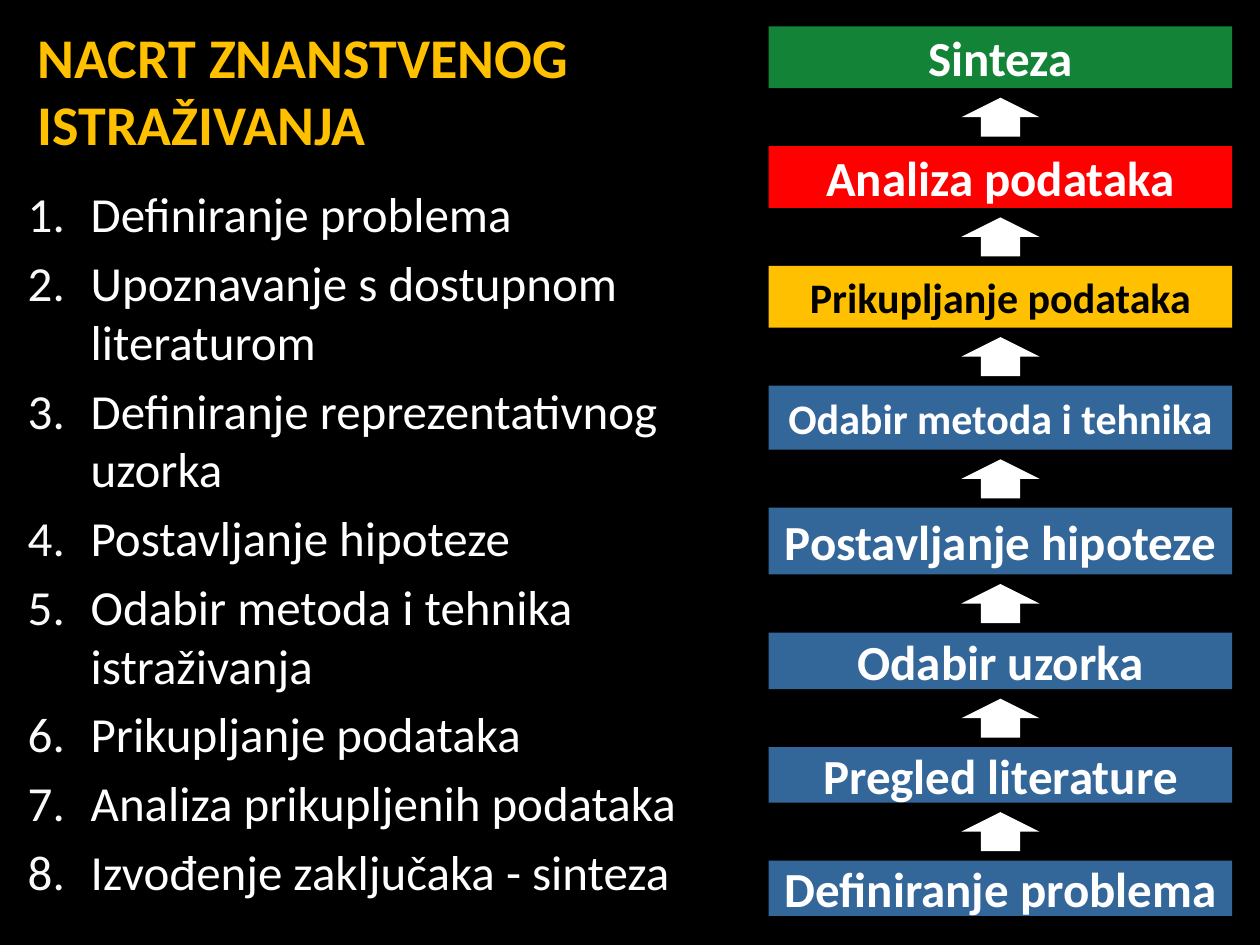
from pptx import Presentation
from pptx import util as u
from pptx.dml.color import RGBColor
from pptx.enum import shapes, text
from pptx.oxml import parse_xml
from pptx.oxml.ns import nsdecls

BLACK, WHITE, AMBER = "000000", "FFFFFF", "FFC000"
BLUE, RED, GREEN = "336699", "FF0000", "138338"

TITLE = "NACRT ZNANSTVENOG ISTRAŽIVANJA"
STEPS = [
    "Definiranje problema",
    "Upoznavanje s dostupnom literaturom",
    "Definiranje reprezentativnog uzorka",
    "Postavljanje hipoteze",
    "Odabir metoda i tehnika istraživanja",
    "Prikupljanje podataka",
    "Analiza prikupljenih podataka",
    "Izvođenje zaključaka - sinteza",
]
# label, height, fill, text size, text colour; from top to bottom
STAGES = [
    ("Sinteza", 0.49, GREEN, 28, WHITE),
    ("Analiza podataka", 0.49, RED, 28, WHITE),
    ("Prikupljanje podataka", 0.49, AMBER, 24, BLACK),
    ("Odabir metoda i tehnika", 0.51, BLUE, 24, WHITE),
    ("Postavljanje hipoteze", 0.53, BLUE, 28, WHITE),
    ("Odabir uzorka", 0.45, BLUE, 28, WHITE),
    ("Pregled literature", 0.44, BLUE, 28, WHITE),
    ("Definiranje problema", 0.44, BLUE, 28, WHITE),
]
STACK_LEFT, STACK_TOP, STACK_WIDTH, STACK_GAP = 6.1, 0.21, 3.68, 0.46
ARROW_WIDTH, ARROW_HEIGHT = 0.62, 0.31


def rgb(value):
    return RGBColor.from_string(value)


def apply(target, values):
    for name, value in values.items():
        setattr(target, name, value)


class SlideBuilder:
    font_name = "Calibri"

    def __init__(self, deck):
        self.slide = deck.slides.add_slide(deck.slide_layouts[1])
        background = self.slide.background.fill
        background.solid()
        background.fore_color.rgb = rgb(BLACK)

    def style(self, para, size, color, bold, align):
        para.alignment = align
        for span in para.runs:
            apply(span.font, {"name": self.font_name, "size": u.Pt(size), "bold": bold})
            span.font.color.rgb = rgb(color)

    def place(self, box, left, top, width, height):
        apply(box, {"left": u.Inches(left), "top": u.Inches(top),
                    "width": u.Inches(width), "height": u.Inches(height)})
        apply(box.text_frame, {"vertical_anchor": text.MSO_ANCHOR.TOP,
                               "auto_size": text.MSO_AUTO_SIZE.NONE,
                               "word_wrap": True})

    def title(self, words, *area):
        box = self.slide.shapes.title
        self.place(box, *area)
        box.text_frame.text = words
        self.style(box.text_frame.paragraphs[0], 32, AMBER, True, text.PP_ALIGN.LEFT)

    def numbered_list(self, items, *area):
        box = self.slide.placeholders[1]
        self.place(box, *area)
        box.text_frame.text = "\n".join(items)
        for index, para in enumerate(box.text_frame.paragraphs):
            self.number(para)
            para.space_before = u.Pt(5.6 if index else 0)
            self.style(para, 28, WHITE, False, text.PP_ALIGN.LEFT)

    def number(self, para):
        """Give a paragraph a hanging automatic number."""
        properties = para._p.get_or_add_pPr()
        properties.set("marL", str(u.Inches(0.5)))
        properties.set("indent", str(-u.Inches(0.5)))
        for xml in (
            f'<a:buClr {nsdecls("a")}><a:srgbClr val="F9F9F9"/></a:buClr>',
            f'<a:buFont {nsdecls("a")} typeface="+mj-lt"/>',
            f'<a:buAutoNum {nsdecls("a")} type="arabicPeriod"/>',
        ):
            properties.append(parse_xml(xml))

    def shape(self, kind, left, top, width, height, fill):
        shape = self.slide.shapes.add_shape(
            kind, u.Inches(left), u.Inches(top), u.Inches(width), u.Inches(height))
        shape.shadow.inherit = False
        shape.fill.solid()
        shape.fill.fore_color.rgb = rgb(fill)
        shape.line.fill.background()
        return shape

    def stage(self, label, top, height, fill, size, color):
        box = self.shape(shapes.MSO_SHAPE.RECTANGLE,
                         STACK_LEFT, top, STACK_WIDTH, height, fill)
        apply(box.text_frame, {"text": label, "word_wrap": False,
                               "vertical_anchor": text.MSO_ANCHOR.MIDDLE})
        self.style(box.text_frame.paragraphs[0], size, color, True, text.PP_ALIGN.CENTER)

    def up_arrow(self, gap_top):
        """Centre an arrow in the gap that starts at gap_top."""
        left = STACK_LEFT + (STACK_WIDTH - ARROW_WIDTH) / 2
        top = gap_top + (STACK_GAP - ARROW_HEIGHT) / 2
        arrow = self.shape(shapes.MSO_SHAPE.DOWN_ARROW,
                           left, top, ARROW_WIDTH, ARROW_HEIGHT, WHITE)
        arrow.rotation = 180


def main():
    deck = Presentation()
    apply(deck, {"slide_width": u.Inches(10), "slide_height": u.Inches(7.5)})
    builder = SlideBuilder(deck)
    builder.title(TITLE, 0.2, 0.13, 5.7, 1.08)
    builder.numbered_list(STEPS, 0.12, 1.41, 5.91, 5.49)

    top = STACK_TOP
    for index, (label, height, fill, size, color) in enumerate(STAGES):
        if index:
            builder.up_arrow(top - STACK_GAP)
        builder.stage(label, top, height, fill, size, color)
        top += height + STACK_GAP
    deck.save("out.pptx")


if __name__ == "__main__":
    main()
